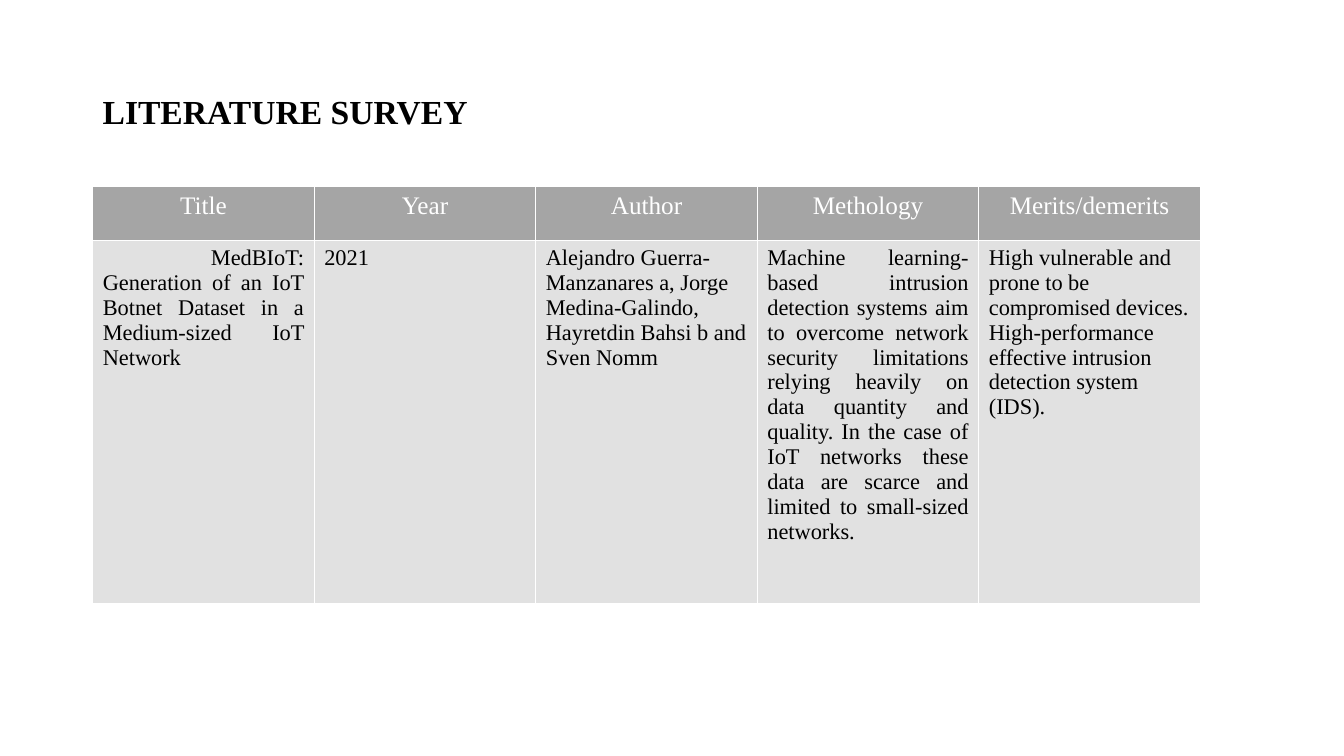
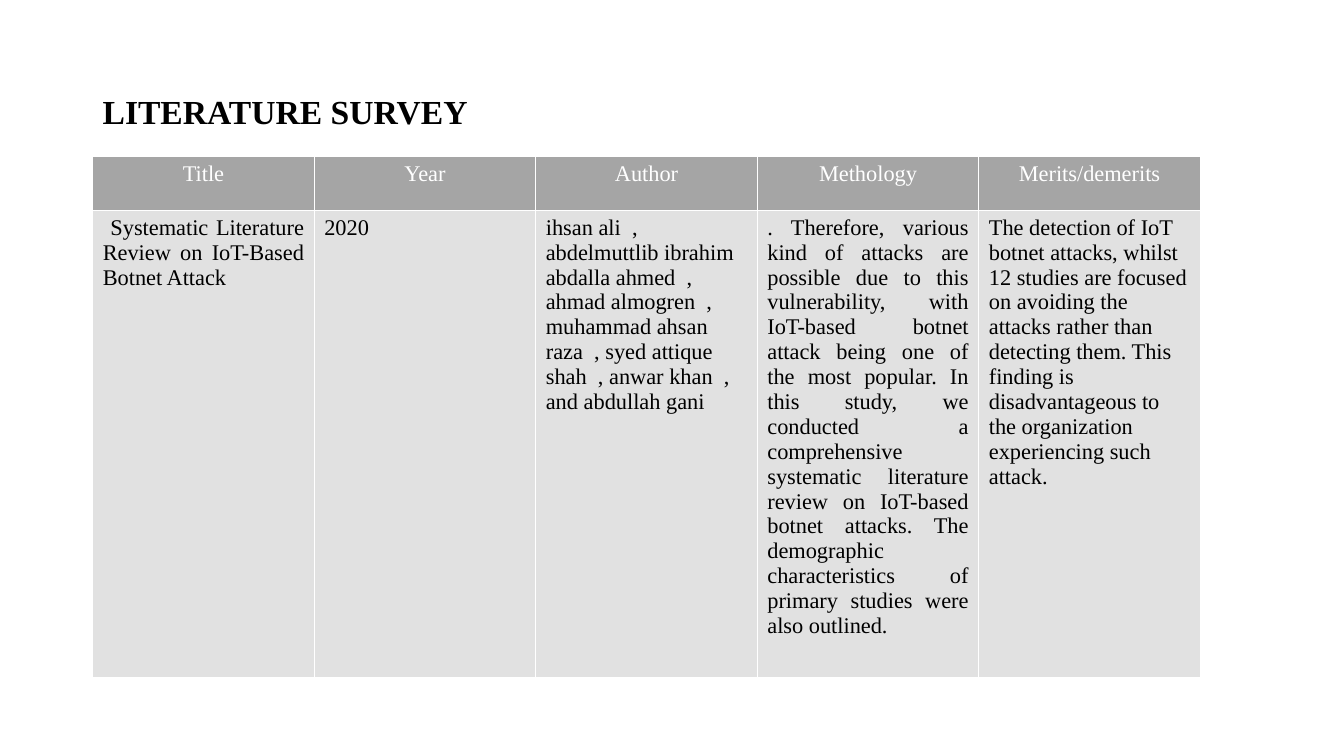
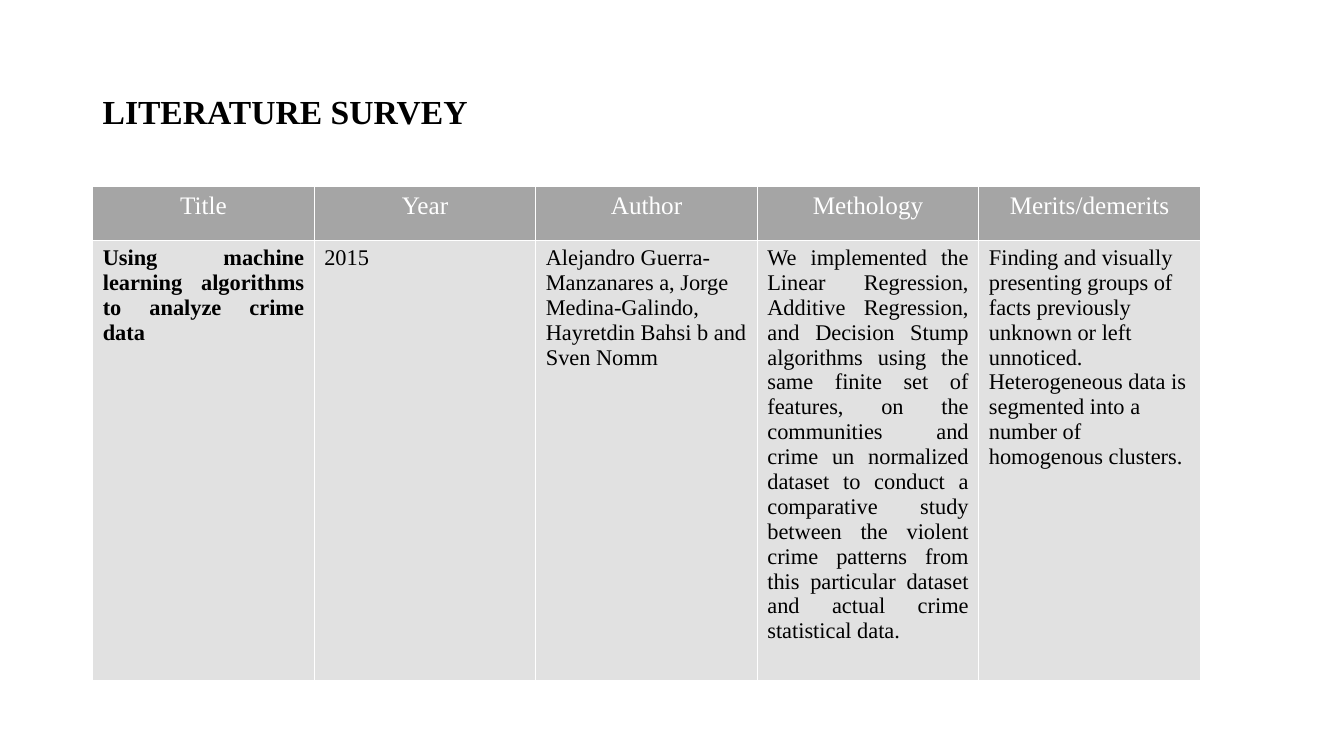
from lxml import etree
from pptx import Presentation
from pptx.dml.color import RGBColor
from pptx.enum.text import MSO_ANCHOR, PP_ALIGN
from pptx.oxml.ns import qn
from pptx.util import Pt

MIDDLE = MSO_ANCHOR.MIDDLE
LEFT, CENTER, JUSTIFY = PP_ALIGN.LEFT, PP_ALIGN.CENTER, PP_ALIGN.JUSTIFY

FONT = "Times New Roman"
BLACK, WHITE = "000000", "FFFFFF"
HEADER_FILL, BODY_FILL = "A5A5A5", "E1E1E1"
MARGIN_LEFT = 66.24
TABLE_WIDTH = 791.2
HEADER_HEIGHT = 38.6
HEADINGS = ["Title", "Year", "Author", "Methology", "Merits/demerits"]
BODY_ALIGNMENTS = [JUSTIFY, JUSTIFY, LEFT, JUSTIFY, LEFT]
BOTNET_AUTHORS = "Alejandro Guerra-Manzanares a, Jorge Medina-Galindo, Hayretdin Bahsi b and Sven Nomm"

SURVEYS = [
    dict(top=133.2, body_height=259.2, header_size=18, bold_title=False, entries=[
        " MedBIoT: Generation of an IoT Botnet Dataset in a Medium-sized IoT Network",
        "2021",
        BOTNET_AUTHORS,
        "Machine learning-based intrusion detection systems aim to overcome network security "
        "limitations relying heavily on data quantity and quality. In the case of IoT networks "
        "these data are scarce and limited to small-sized networks. ",
        "High vulnerable and prone to be compromised devices.\n"
        "High-performance effective intrusion detection system (IDS).",
    ]),
    dict(top=111.6, body_height=327, header_size=16, bold_title=False, entries=[
        " Systematic Literature Review on IoT-Based Botnet Attack",
        "2020",
        "ihsan ali  , abdelmuttlib ibrahim abdalla ahmed  , ahmad almogren  , "
        "muhammad ahsan raza  , syed attique shah  , anwar khan  , and abdullah gani",
        ". Therefore, various kind of attacks are possible due to this vulnerability, with "
        "IoT-based botnet attack being one of the most popular. In this study, we conducted a "
        "comprehensive systematic literature review on IoT-based botnet attacks. The demographic "
        "characteristics of primary studies were also outlined. ",
        "The detection of IoT botnet attacks, whilst 12 studies are focused on avoiding the "
        "attacks rather than detecting them. This finding is disadvantageous to the organization "
        "experiencing such attack.",
    ]),
    dict(top=133.2, body_height=291.6, header_size=18, bold_title=True, entries=[
        "Using machine learning algorithms to analyze crime data",
        "2015",
        BOTNET_AUTHORS,
        "We implemented the Linear Regression, Additive Regression, and Decision Stump algorithms "
        "using the same finite set of features, on the communities and crime un normalized dataset "
        "to conduct a comparative study between the violent crime patterns from this particular "
        "dataset and actual crime statistical data.",
        "Finding and visually presenting groups of facts previously unknown or left unnoticed.\n"
        "Heterogeneous data is segmented into a number of homogenous clusters.",
    ]),
]


def add_text(text_frame, text, size, color, bold, alignment):
    for index, line in enumerate(text.split("\n")):
        paragraph = text_frame.add_paragraph() if index else text_frame.paragraphs[0]
        paragraph.alignment = alignment
        run = paragraph.add_run()
        run.text = line
        run.font.name = FONT
        run.font.size = Pt(size)
        run.font.bold = bold
        run.font.color.rgb = RGBColor.from_string(color)


def style_cell(cell, fill):
    properties = cell._tc.get_or_add_tcPr()
    for side in ("lnL", "lnR", "lnT", "lnB"):
        line = etree.SubElement(properties, qn("a:" + side), w=str(Pt(1)))
        solid = etree.SubElement(line, qn("a:solidFill"))
        etree.SubElement(solid, qn("a:srgbClr"), val=WHITE)
    cell.fill.solid()
    cell.fill.fore_color.rgb = RGBColor.from_string(fill)


presentation = Presentation()
presentation.slide_width = Pt(960)
presentation.slide_height = Pt(540)

for survey in SURVEYS:
    slide = presentation.slides.add_slide(presentation.slide_layouts[6])

    title = slide.shapes.add_textbox(Pt(MARGIN_LEFT), Pt(28.8), Pt(828), Pt(104.4))
    title.text_frame.word_wrap = True
    title.text_frame.vertical_anchor = MIDDLE
    add_text(title.text_frame, "LITERATURE SURVEY", 24, BLACK, True, LEFT)
    title.text_frame.paragraphs[0].line_spacing = 0.9

    table = slide.shapes.add_table(
        2, len(HEADINGS), Pt(MARGIN_LEFT), Pt(survey["top"]),
        Pt(TABLE_WIDTH), Pt(HEADER_HEIGHT + survey["body_height"])).table
    table.horz_banding = False
    table.rows[0].height = Pt(HEADER_HEIGHT)
    table.rows[1].height = Pt(survey["body_height"])

    for column, heading in enumerate(HEADINGS):
        header = table.cell(0, column)
        style_cell(header, HEADER_FILL)
        add_text(header.text_frame, heading, survey["header_size"], WHITE, False, CENTER)

        body = table.cell(1, column)
        style_cell(body, BODY_FILL)
        bold = survey["bold_title"] and column == 0
        add_text(body.text_frame, survey["entries"][column], 16, BLACK, bold, BODY_ALIGNMENTS[column])

presentation.save("out.pptx")
